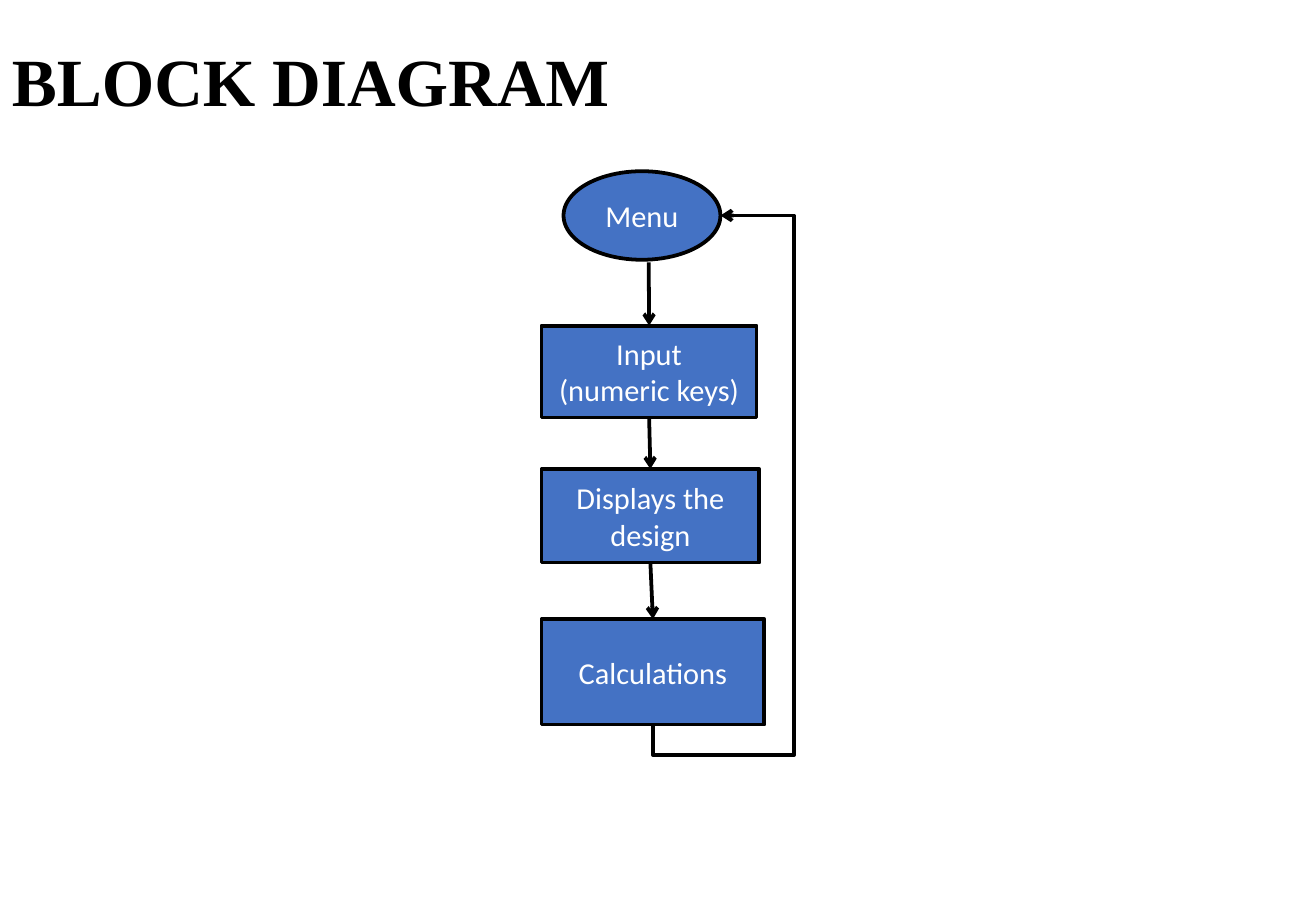
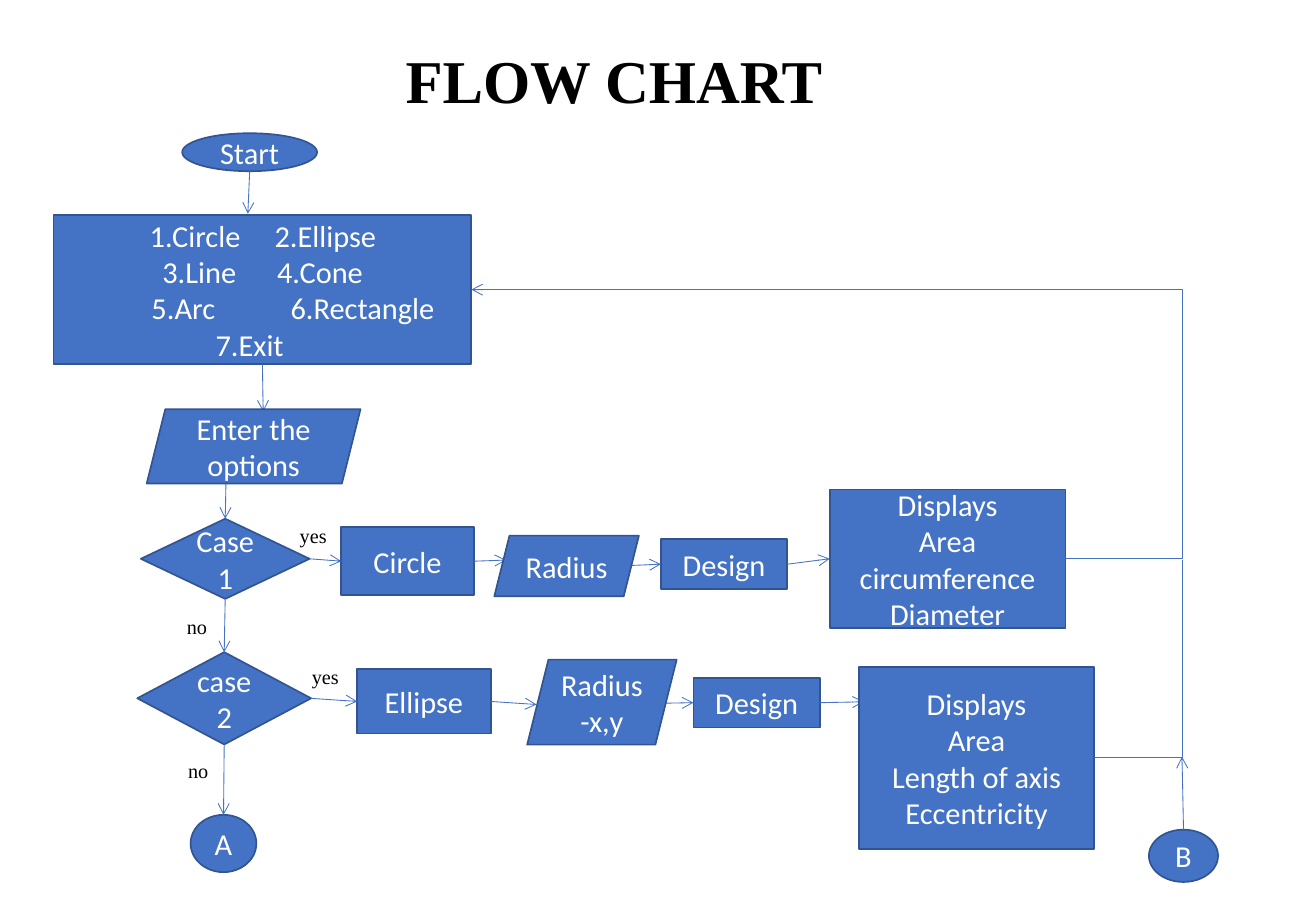
from typing import NamedTuple

from lxml import etree
from pptx import Presentation
from pptx.dml.color import RGBColor
from pptx.enum import shapes, text
from pptx.oxml.ns import qn
from pptx.shapes.autoshape import Shape
from pptx.util import Pt

BLACK = RGBColor(0x00, 0x00, 0x00)
WHITE = RGBColor(0xFF, 0xFF, 0xFF)
BLUE = RGBColor(0x44, 0x72, 0xC4)
DARK_BLUE = RGBColor(0x32, 0x54, 0x91)

SERIF = "Times New Roman"
SANS = "Calibri"

KIND = shapes.MSO_SHAPE
RECT, OVAL = KIND.RECTANGLE, KIND.OVAL
DECISION, INPUT = KIND.FLOWCHART_DECISION, KIND.PARALLELOGRAM
LINK = shapes.MSO_CONNECTOR
ALIGN = text.PP_ALIGN
TOP, LEFT, BOTTOM, RIGHT = range(4)


class Joint(NamedTuple):
    """The middle of one side of a shape, where a connector is attached."""
    shape: Shape
    side: int


def write(frame, words, size=18, font=SANS, color=WHITE, bold=False, align=ALIGN.CENTER):
    frame.word_wrap = True
    frame.text = words
    for paragraph in frame.paragraphs:
        paragraph.alignment = align
        for run in paragraph.runs:
            run.font.size = Pt(size)
            run.font.name = font
            run.font.bold = bold
            run.font.color.rgb = color


def label(slide, words, left, top, width, height, **style):
    frame = slide.shapes.add_textbox(Pt(left), Pt(top), Pt(width), Pt(height)).text_frame
    write(frame, words, font=SERIF, color=BLACK, align=ALIGN.LEFT, **style)
    frame.auto_size = text.MSO_AUTO_SIZE.SHAPE_TO_FIT_TEXT


def title(slide, words, left, top, width, height, size):
    label(slide, words, left, top, width, height, size=size, bold=True)


def block(slide, kind, words, left, top, width, height,
          outline=DARK_BLUE, weight=1, align=ALIGN.CENTER):
    shape = slide.shapes.add_shape(kind, Pt(left), Pt(top), Pt(width), Pt(height))
    shape.shadow.inherit = False
    shape.fill.solid()
    shape.fill.fore_color.rgb = BLUE
    shape.line.color.rgb = outline
    shape.line.width = Pt(weight)
    shape.text_frame.vertical_anchor = text.MSO_ANCHOR.MIDDLE
    write(shape.text_frame, words, align=align)
    return shape


def set_tabs(paragraph, stops):
    tabs = etree.SubElement(paragraph._p.get_or_add_pPr(), qn("a:tabLst"))
    for stop in stops:
        etree.SubElement(tabs, qn("a:tab"), pos=str(int(Pt(stop))), algn="l")


def attach(connector, place, join, end_tag):
    """Join one end to a shape; an oval counts its corners as sites too."""
    if isinstance(place, Joint):
        join(place.shape, place.side)
        if place.shape.auto_shape_type == OVAL:
            site = connector._element.find(".//" + qn(end_tag))
            site.set("idx", str(2 * place.side))


def connect(slide, start, end, color=BLUE, weight=0.5, arrow=True, route=LINK.STRAIGHT):
    """Link two places, each a Joint or an (x, y) point."""
    points = [(0, 0) if isinstance(place, Joint) else place for place in (start, end)]
    connector = slide.shapes.add_connector(route, *[Pt(n) for point in points for n in point])
    attach(connector, start, connector.begin_connect, "a:stCxn")
    attach(connector, end, connector.end_connect, "a:endCxn")
    connector.line.color.rgb = color
    connector.line.width = Pt(weight)
    if arrow:
        etree.SubElement(connector.line._get_or_add_ln(), qn("a:tailEnd"), type="arrow")
    etree.SubElement(connector._element.spPr, qn("a:effectLst"))
    return connector


def elbow(slide, start, end, bends, adjustments=(), **style):
    connector = connect(slide, start, end, route=LINK.ELBOW, **style)
    geometry = connector._element.spPr.find(qn("a:prstGeom"))
    geometry.set("prst", f"bentConnector{bends + 1}")
    guides = geometry.find(qn("a:avLst"))
    for number, share in enumerate(adjustments, 1):
        etree.SubElement(guides, qn("a:gd"), name=f"adj{number}",
                         fmla=f"val {round(share * 100000)}")
    return connector


def leave_downward(connector):
    """Turn an elbow that rises to the right so that it starts downward."""
    width, height = connector.width, connector.height
    connector.left += (width - height) // 2
    connector.top += (height - width) // 2
    connector.width, connector.height = height, width
    frame = connector._element.spPr.find(qn("a:xfrm"))
    for name, value in (("rot", "5400000"), ("flipH", "1"), ("flipV", "1")):
        frame.set(name, value)


def block_diagram(slide):
    title(slide, "BLOCK DIAGRAM", 0, 19.4, 644, 55.4, size=40)
    bold_block = {"outline": BLACK, "weight": 2.25}
    bold_line = {"color": BLACK, "weight": 2.25}
    menu = block(slide, OVAL, "Menu", 334, 101.5, 93, 52.5, **bold_block)
    steps = [
        block(slide, RECT, words, 321, top, width, height, **bold_block)
        for words, top, width, height in (
            ("Input\n(numeric keys)", 193, 127.5, 54.5),
            ("Displays the design", 278, 129, 55.5),
            ("Calculations", 367, 132, 62.5),
        )
    ]
    connect(slide, (384.5, 155.5), Joint(steps[0], TOP), **bold_line)
    for upper, lower in zip(steps, steps[1:]):
        connect(slide, Joint(upper, BOTTOM), Joint(lower, TOP), **bold_line)
    back = elbow(slide, Joint(steps[-1], BOTTOM), Joint(menu, RIGHT), 3, (-0.06, 2.09), **bold_line)
    leave_downward(back)


def options_menu(slide):
    rows = (
        ("\t1.Circle\t2.Ellipse", (50, 124)),
        ("\t3.Line\t4.Cone", (57.5, 125.5)),
        ("\t5.Arc\t6.Rectangle", (51, 133.5)),
        ("\t7.Exit", (89,)),
    )
    menu = block(slide, RECT, "\n".join(words for words, _ in rows),
                 31.7, 127.4, 247.7, 88.6, align=ALIGN.LEFT)
    for paragraph, (_, stops) in zip(menu.text_frame.paragraphs, rows):
        set_tabs(paragraph, stops)
    return menu


def flow_chart(slide):
    title(slide, "FLOW CHART", 233.3, 21.6, 311.8, 51, size=36)
    start = block(slide, OVAL, "Start", 108, 79, 80, 22.5)
    menu = options_menu(slide)
    case_1 = block(slide, DECISION, "Case 1", 83.5, 307.5, 100, 47.5)
    case_2 = block(slide, DECISION, "case2", 81.4, 386.6, 103, 54.7)
    circle = block(slide, RECT, "Circle", 202.3, 312.5, 78.5, 40.3)
    ellipse = block(slide, RECT, "Ellipse", 211.7, 396.7, 79.2, 38.2)
    circle_design = block(slide, RECT, "Design", 391.7, 319.7, 75, 29.5)
    ellipse_design = block(slide, RECT, "Design", 411, 401.8, 75, 29.5)
    circle_result = block(slide, RECT, "Displays\vArea\vcircumference\vDiameter",
                          491.8, 290.2, 139.7, 82)
    page_a = block(slide, OVAL, "A", 113, 483, 39, 34)
    page_b = block(slide, OVAL, "B", 681, 491.8, 41, 31)

    for source, target in (
        (Joint(start, BOTTOM), (146.9, 126.7)),
        (Joint(menu, BOTTOM), (156, 244)),
        ((134, 283), Joint(case_1, TOP)),
        (Joint(case_1, RIGHT), Joint(circle, LEFT)),
        (Joint(circle, RIGHT), (300, 332)),
        ((367, 335.5), Joint(circle_design, LEFT)),
        (Joint(circle_design, RIGHT), Joint(circle_result, LEFT)),
        (Joint(case_1, BOTTOM), Joint(case_2, TOP)),
        (Joint(case_2, RIGHT), Joint(ellipse, LEFT)),
        (Joint(ellipse, RIGHT), (318, 417.6)),
        ((384.5, 417), Joint(ellipse_design, LEFT)),
        (Joint(ellipse_design, RIGHT), (512, 416)),
        (Joint(case_2, BOTTOM), Joint(page_a, TOP)),
        (Joint(page_b, TOP), (700.6, 448.6)),
    ):
        connect(slide, source, target)

    # These blocks cover the line ends that reach into them.
    block(slide, INPUT, "Enter the options", 87, 242.6, 126.7, 44)
    block(slide, INPUT, "Radius", 293, 317.5, 85.7, 36)
    block(slide, INPUT, "Radius -x,y", 312.5, 391, 88.6, 50.4)
    ellipse_result = block(slide, RECT, "Displays\vArea\vLength of axis\vEccentricity",
                           509, 395.3, 139.7, 108)

    elbow(slide, Joint(circle_result, RIGHT), Joint(menu, RIGHT), 2, (-0.197,))
    elbow(slide, Joint(ellipse_result, RIGHT), (700.6, 332), 1, arrow=False)

    for answer, left, top, width in (
        ("yes", 170.6, 306.7, 40.3),
        ("yes", 177.8, 390.2, 44),
        ("no", 103.7, 360.7, 29),
        ("no", 104.4, 445.7, 29),
    ):
        label(slide, answer, left, top, width, 21.6, size=12)


def main():
    deck = Presentation()
    deck.slide_width, deck.slide_height = Pt(780), Pt(540)
    for draw in (block_diagram, flow_chart):
        draw(deck.slides.add_slide(deck.slide_layouts[6]))
    deck.save("out.pptx")


if __name__ == "__main__":
    main()
